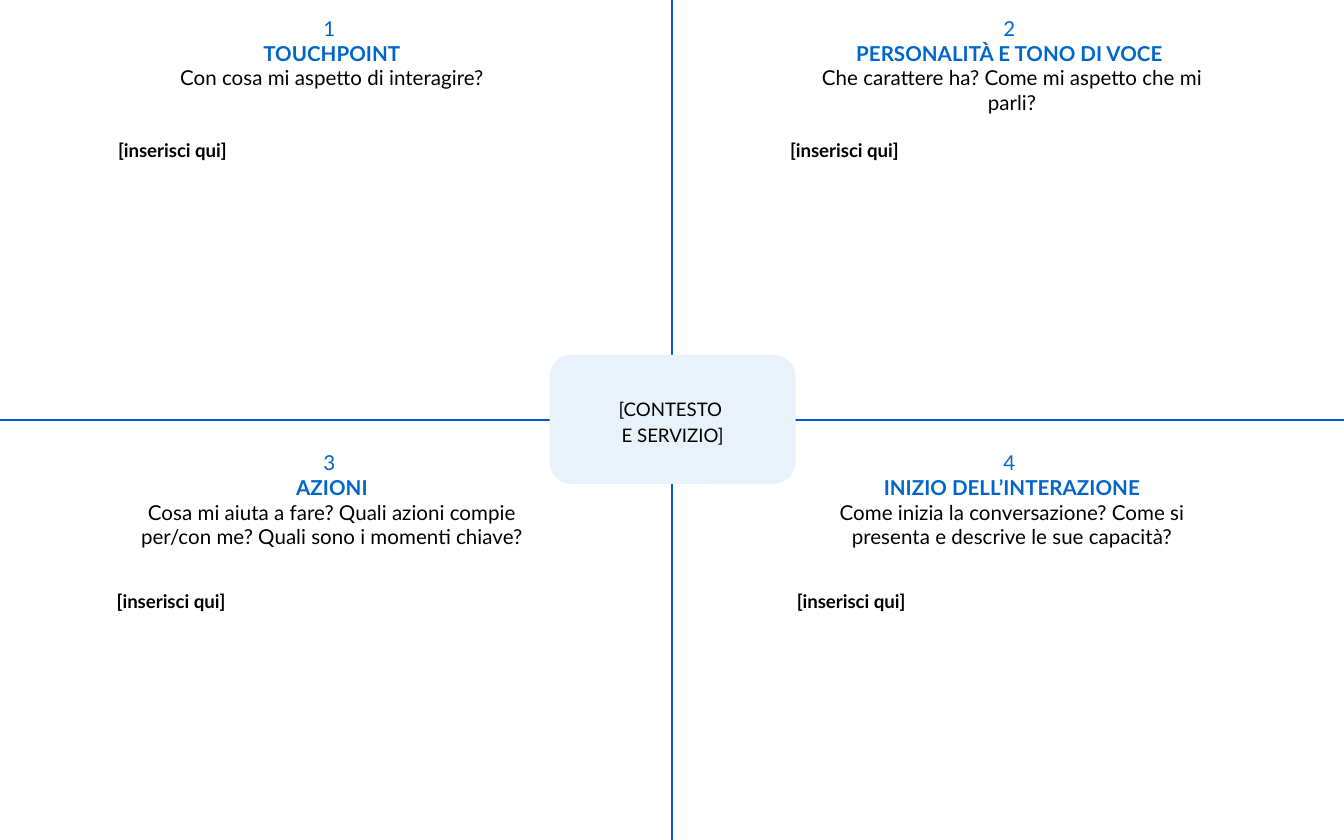
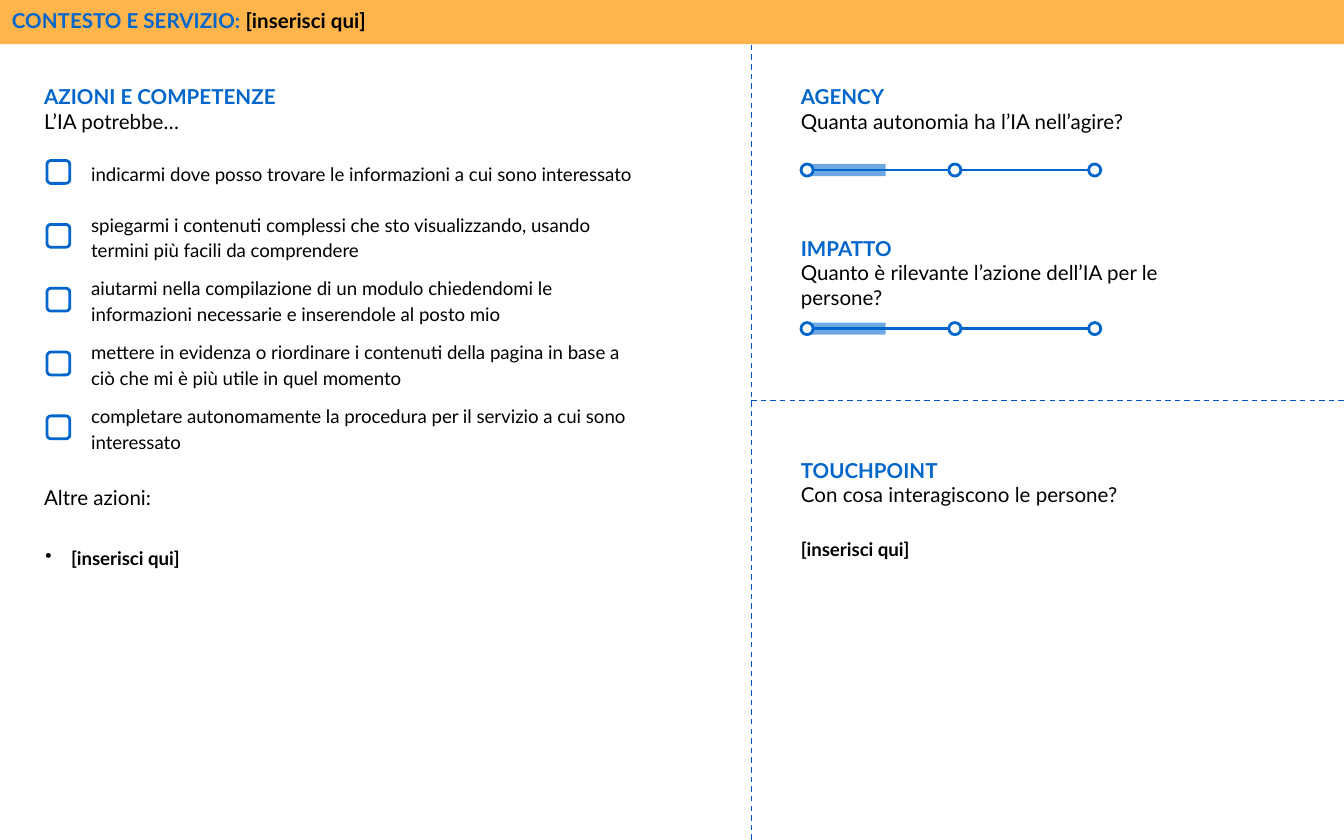
from collections import namedtuple
from lxml.etree import SubElement
from pptx import Presentation
from pptx.dml.color import RGBColor
from pptx.enum.dml import MSO_LINE
from pptx.enum.shapes import MSO_CONNECTOR, MSO_SHAPE
from pptx.enum.text import MSO_ANCHOR, PP_ALIGN
from pptx.oxml.ns import qn
from pptx.util import Inches, Pt

# Grid of square cells, 100 columns by 62.5 rows: all lengths below are in cells
CELL = Inches(0.1)
COLUMNS, ROWS = 100, 62.5
Box = namedtuple("Box", "left top width height")

FONT = "Lato"
BLUE, RULE, BLACK, WHITE = "0066CC", "0056CB", "000000", "FFFFFF"
BAND, CENTRE_FILL = "FFB54C", "E9F1FA"
PROMPT = "[inserisci qui]"
HEADING_SIZE, BODY_SIZE, BODY_SPACING = 11, 10, 1.15


def color(hex_code):
    return RGBColor.from_string(hex_code)


def cells(*lengths):
    return [round(length * CELL) for length in lengths]


def inside(box, dx, dy, width, height):
    return Box(box.left + dx, box.top + dy, width, height)


def write(frame, paragraphs, size, align=PP_ALIGN.LEFT, anchor=MSO_ANCHOR.TOP, spacing=None):
    """Fill a frame; each paragraph is a list of (text, colour, bold) runs."""
    frame.word_wrap = True
    frame.vertical_anchor = anchor
    frame.margin_left = frame.margin_right = Inches(0.1)
    frame.margin_top = frame.margin_bottom = Inches(0.1)
    for index, runs in enumerate(paragraphs):
        paragraph = frame.add_paragraph() if index else frame.paragraphs[0]
        paragraph.alignment = align
        if spacing:
            paragraph.line_spacing = spacing
        for text, hex_code, bold in runs:
            run = paragraph.add_run()
            run.text = text
            run.font.name, run.font.size, run.font.bold = FONT, Pt(size), bold
            run.font.color.rgb = color(hex_code)


def add_text(slide, box, paragraphs, size, **style):
    frame = slide.shapes.add_textbox(*cells(*box)).text_frame
    write(frame, paragraphs, size, **style)
    return frame


def add_body(slide, box, text, bold=False, **style):
    return add_text(slide, box, [[(text, BLACK, bold)]], BODY_SIZE,
                    spacing=BODY_SPACING, **style)


def add_heading(slide, box, title, question):
    add_text(slide, box, [[(title, BLUE, True)], [(question, BLACK, False)]],
             HEADING_SIZE, anchor=MSO_ANCHOR.MIDDLE)


def add_figure(slide, kind, box, fill=None, outline=None, alpha=None):
    figure = slide.shapes.add_shape(kind, *cells(*box))
    figure.shadow.inherit = False
    if fill:
        figure.fill.solid()
        figure.fill.fore_color.rgb = color(fill)
    else:
        figure.fill.background()
    if alpha:
        tint = figure.fill._xPr.find(".//" + qn("a:srgbClr"))
        SubElement(tint, qn("a:alpha")).set("val", str(alpha * 1000))
    if outline:
        figure.line.color.rgb = color(outline)
        figure.line.width = Pt(1.5)
    else:
        figure.line.fill.background()
    return figure


def add_rule(slide, start, end, width, hex_code=RULE, dashed=False):
    rule = slide.shapes.add_connector(MSO_CONNECTOR.STRAIGHT, *cells(*start, *end))
    rule.line.color.rgb = color(hex_code)
    rule.line.width = Pt(width)
    if dashed:
        rule.line.dash_style = MSO_LINE.DASH
    SubElement(rule._element.spPr, qn("a:effectLst"))


# Canvas with four quadrants
Quadrant = namedtuple("Quadrant", "number title question width centre answer_left")
QUADRANTS = [
    Quadrant("1 ", "TOUCHPOINT", "Con cosa mi aspetto di interagire?", 26.8, 24.7, 7.8),
    Quadrant("2 ", "PERSONALITÀ E TONO DI VOCE ",
             "Che carattere ha? Come mi aspetto che mi parli?", 32.9, 25.3, 7.8),
    Quadrant("3 ", "AZIONI",
             "Cosa mi aiuta a fare? Quali azioni compie per/con me? "
             "Quali sono i momenti chiave?", 30.5, 24.7, 7.7),
    Quadrant("4 ", "INIZIO DELL’INTERAZIONE",
             "Come inizia la conversazione? Come si presenta e descrive le sue capacità?",
             30.5, 25.3, 8.3),
]


def add_quadrant(slide, box, quadrant, heading_top, answer_top):
    heading = inside(box, quadrant.centre - quadrant.width / 2, heading_top,
                     quadrant.width, 6.7)
    add_text(slide, heading,
             [[(quadrant.number, BLUE, False)], [(quadrant.title, BLUE, True)],
              [(quadrant.question, BLACK, False)]],
             HEADING_SIZE, align=PP_ALIGN.CENTER)
    add_body(slide, inside(box, quadrant.answer_left, answer_top, 33.9, 16.2), PROMPT, bold=True)


def add_context(slide, box):
    card = add_figure(slide, MSO_SHAPE.ROUNDED_RECTANGLE, box, CENTRE_FILL)
    card.adjustments[0] = 0.17
    add_text(slide, inside(box, 0, 0.9, box.width, 8),
             [[("[CONTESTO ", BLACK, False)], [("E SERVIZIO]", BLACK, False)]],
             BODY_SIZE, align=PP_ALIGN.CENTER, anchor=MSO_ANCHOR.MIDDLE, spacing=BODY_SPACING)


def build_canvas(slide):
    half_width, half_height = COLUMNS / 2, ROWS / 2
    add_rule(slide, (half_width, 0), (half_width, ROWS), 1)
    add_rule(slide, (0, half_height), (COLUMNS, half_height), 1)
    for index, quadrant in enumerate(QUADRANTS):
        row, column = divmod(index, 2)
        box = Box(column * half_width, row * half_height, half_width, half_height)
        heading_top, answer_top = [(0.2, 9.1), (1.25, 11.45)][row]
        add_quadrant(slide, box, quadrant, heading_top, answer_top)
    add_context(slide, Box(40.9, 26.4, 18.3, 9.6))


# Sheet with actions, scales and touchpoint
ACTIONS = [
    "indicarmi dove posso trovare le informazioni a cui sono interessato",
    "spiegarmi i contenuti complessi che sto visualizzando, usando termini più facili "
    "da comprendere",
    "aiutarmi nella compilazione di un modulo chiedendomi le informazioni necessarie "
    "e inserendole al posto mio",
    "mettere in evidenza o riordinare i contenuti della pagina in base a ciò che mi è "
    "più utile in quel momento",
    "completare autonomamente la procedura per il servizio a cui sono interessato",
]
ACTION_PITCH = 4.75
KNOB = 0.9


def add_band(slide, box):
    band = add_figure(slide, MSO_SHAPE.RECTANGLE, box, BAND)
    write(band.text_frame, [[("CONTESTO E SERVIZIO: ", BLUE, True), (PROMPT, BLACK, True)]],
          HEADING_SIZE, anchor=MSO_ANCHOR.MIDDLE)


def add_bullet(paragraph):
    properties = paragraph._p.get_or_add_pPr()
    properties.set("marL", str(Inches(0.19)))
    properties.set("indent", str(-Inches(0.19)))
    tint = SubElement(SubElement(properties, qn("a:buClr")), qn("a:srgbClr"))
    tint.set("val", BLACK)
    SubElement(properties, qn("a:buChar")).set("char", "•")


def add_actions(slide, box):
    add_heading(slide, inside(box, 2.3, 3.1, 26.8, 3.4), "AZIONI E COMPETENZE", "L’IA potrebbe…")
    for index, action in enumerate(ACTIONS):
        top = 7.8 + index * ACTION_PITCH
        add_body(slide, inside(box, 5.8, top, 42.6, 3.4), action, anchor=MSO_ANCHOR.MIDDLE)
        checkbox = add_figure(slide, MSO_SHAPE.ROUNDED_RECTANGLE,
                              inside(box, 3.5, top + 0.85, 1.7, 1.7), outline=BLUE)
        checkbox.adjustments[0] = 0.17
    add_text(slide, inside(box, 2.3, 31.9, 27.6, 3.4),
             [[("Altre azioni:", BLACK, False)]], HEADING_SIZE)
    others = add_body(slide, inside(box, 2.4, 36.2, 42.6, 11.4), PROMPT, bold=True)
    add_bullet(others.paragraphs[0])


def add_scale(slide, box):
    middle = box.top + KNOB / 2
    add_rule(slide, (box.left + KNOB, middle), (box.left + box.width, middle), 1.5, BLUE)
    add_figure(slide, MSO_SHAPE.RECTANGLE, inside(box, 0.5, 0, 5.8, box.height), BLUE, alpha=57)
    for offset in (11, 21.4, 0):
        add_figure(slide, MSO_SHAPE.OVAL, inside(box, offset, 0, KNOB, KNOB), WHITE, BLUE)


def add_scales(slide, box):
    add_heading(slide, inside(box, 2.7, 3.1, 26.8, 3.4),
                "AGENCY", "Quanta autonomia ha l’IA nell’agire?")
    add_heading(slide, inside(box, 2.7, 15.3, 33.9, 3.4),
                "IMPATTO", "Quanto è rilevante l’azione dell’IA per le persone?")
    for top in (8.9, 20.7):
        add_scale(slide, inside(box, 3.7, top, 22, KNOB))


def add_touchpoint(slide, box):
    add_heading(slide, inside(box, 2.7, 4.4, 26.8, 3.4),
                "TOUCHPOINT", "Con cosa interagiscono le persone?")
    add_body(slide, inside(box, 2.7, 9, 33.9, 16.2), PROMPT, bold=True)


def build_sheet(slide):
    band_bottom, divider, split = 3.3, 55.9, 29.8
    side = COLUMNS - divider
    add_band(slide, Box(-0.1, -0.3, COLUMNS + 0.1, band_bottom + 0.3))
    add_rule(slide, (divider, ROWS), (divider, band_bottom), 0.75, dashed=True)
    add_rule(slide, (COLUMNS, split), (divider, split), 0.75, dashed=True)
    add_actions(slide, Box(0, band_bottom, divider, ROWS - band_bottom))
    add_scales(slide, Box(divider, band_bottom, side, split - band_bottom))
    add_touchpoint(slide, Box(divider, split, side, ROWS - split))


def main():
    deck = Presentation()
    deck.slide_width, deck.slide_height = cells(COLUMNS, ROWS)
    blank = deck.slide_layouts[6]
    for build in (build_canvas, build_sheet):
        build(deck.slides.add_slide(blank))
    deck.save("out.pptx")


if __name__ == "__main__":
    main()
